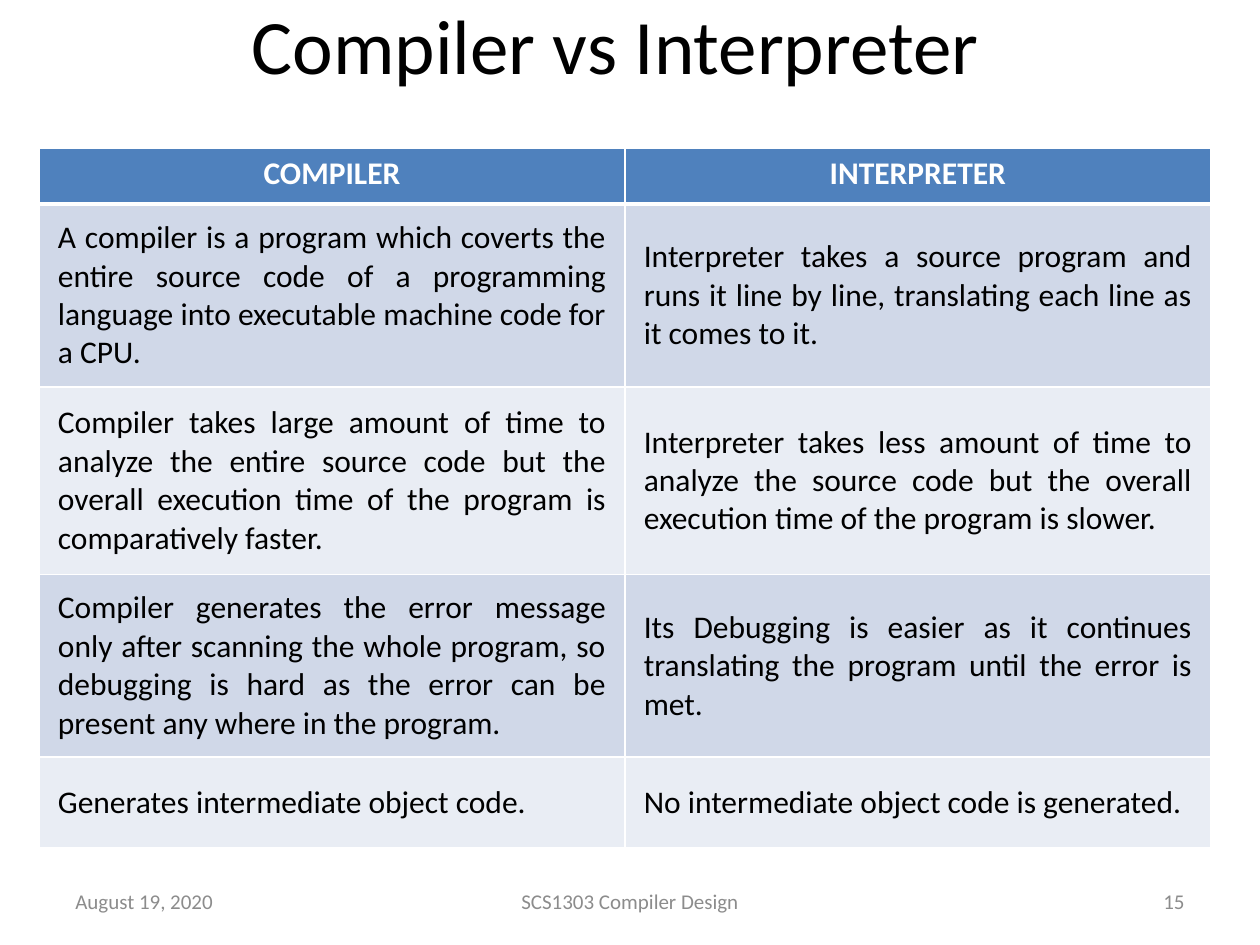
from lxml.etree import SubElement
from pptx import Presentation
from pptx.dml.color import RGBColor
from pptx.enum.text import MSO_ANCHOR, PP_ALIGN
from pptx.oxml.ns import qn
from pptx.util import Inches, Pt

BLACK = RGBColor(0x00, 0x00, 0x00)
WHITE = RGBColor(0xFF, 0xFF, 0xFF)
GRAY = RGBColor(0x8C, 0x8C, 0x8C)
BLUE = RGBColor(0x4F, 0x81, 0xBD)
BAND_DARK = RGBColor(0xD0, 0xD8, 0xE8)
BAND_LIGHT = RGBColor(0xE9, 0xED, 0xF4)

ROW_HEIGHTS = [0.44, 1.45, 1.49, 1.45, 0.72]
COMPARISON = [
    ("COMPILER", "INTERPRETER"),
    ("A compiler is a program which coverts the entire source code of a "
     "programming language into executable machine code for a CPU.",
     "Interpreter takes a source program and runs it line by line, "
     "translating each line as it comes to it."),
    ("Compiler takes large amount of time to analyze the entire source code "
     "but the overall execution time of the program is comparatively faster.",
     "Interpreter takes less amount of time to analyze the source code but "
     "the overall execution time of the program is slower."),
    ("Compiler generates the error message only after scanning the whole "
     "program, so debugging is hard as the error can be present any where "
     "in the program.",
     "Its Debugging is easier as it continues translating the program until "
     "the error is met."),
    ("Generates intermediate object code.",
     "No intermediate object code is generated."),
]


def write_text(tf, text, size=18, color=BLACK, bold=False, align=PP_ALIGN.LEFT):
    p = tf.paragraphs[0]
    p.alignment = align
    r = p.add_run()
    r.text = text
    r.font.name = "Calibri"
    r.font.size = Pt(size)
    r.font.bold = bold
    r.font.color.rgb = color


def add_text(s, x, y, w, h, text, **fmt):
    tf = s.shapes.add_textbox(Inches(x), Inches(y), Inches(w), Inches(h)).text_frame
    tf.word_wrap = True
    tf.vertical_anchor = MSO_ANCHOR.MIDDLE
    write_text(tf, text, **fmt)


def set_borders(cell, **widths):
    tcPr = cell._tc.get_or_add_tcPr()
    for side in "LRTB":
        ln = SubElement(tcPr, qn(f"a:ln{side}"), w=str(Pt(widths.get(side, 1))))
        fill = SubElement(ln, qn("a:solidFill"))
        SubElement(fill, qn("a:srgbClr"), val=str(WHITE))


def format_header_cell(cell, text):
    set_borders(cell, B=3)
    cell.fill.solid()
    cell.fill.fore_color.rgb = BLUE
    write_text(cell.text_frame, text, color=WHITE, bold=True, align=PP_ALIGN.CENTER)


def format_body_cell(cell, text, row):
    set_borders(cell, T=3 if row == 1 else 1)
    cell.fill.solid()
    cell.fill.fore_color.rgb = BAND_DARK if row % 2 else BAND_LIGHT
    cell.vertical_anchor = MSO_ANCHOR.MIDDLE
    cell.margin_left = cell.margin_right = Inches(0.15)
    cell.margin_top = cell.margin_bottom = Inches(0.07)
    write_text(cell.text_frame, text, align=PP_ALIGN.JUSTIFY)


def add_comparison(s, x, y, w, h):
    table = s.shapes.add_table(len(COMPARISON), 2, Inches(x), Inches(y),
                               Inches(w), Inches(h)).table
    for col in table.columns:
        col.width = Inches(w / 2)
    for i, (height, texts) in enumerate(zip(ROW_HEIGHTS, COMPARISON)):
        table.rows[i].height = Inches(height)
        for j, text in enumerate(texts):
            if i == 0:
                format_header_cell(table.cell(i, j), text)
            else:
                format_body_cell(table.cell(i, j), text, i)


def add_footer(s, x, y, w, h):
    side, middle = 2.33, 3.17
    fmt = dict(size=12, color=GRAY)
    add_text(s, x, y, side, h, "August 19, 2020", **fmt)
    add_text(s, x + (w - middle) / 2, y, middle, h, "SCS1303 Compiler Design",
             align=PP_ALIGN.CENTER, **fmt)
    add_text(s, x + w - side, y, side, h, "15", align=PP_ALIGN.RIGHT, **fmt)


def main():
    prs = Presentation()
    prs.slide_width, prs.slide_height = Inches(10), Inches(7.5)
    s = prs.slides.add_slide(prs.slide_layouts[6])
    add_text(s, 1.02, 0, 7.73, 0.7, "Compiler vs Interpreter",
             size=44, align=PP_ALIGN.CENTER)
    add_comparison(s, 0.31, 1.18, 9.3, sum(ROW_HEIGHTS))
    add_footer(s, 0.5, 6.95, 9, 0.4)
    prs.save("out.pptx")


if __name__ == "__main__":
    main()
